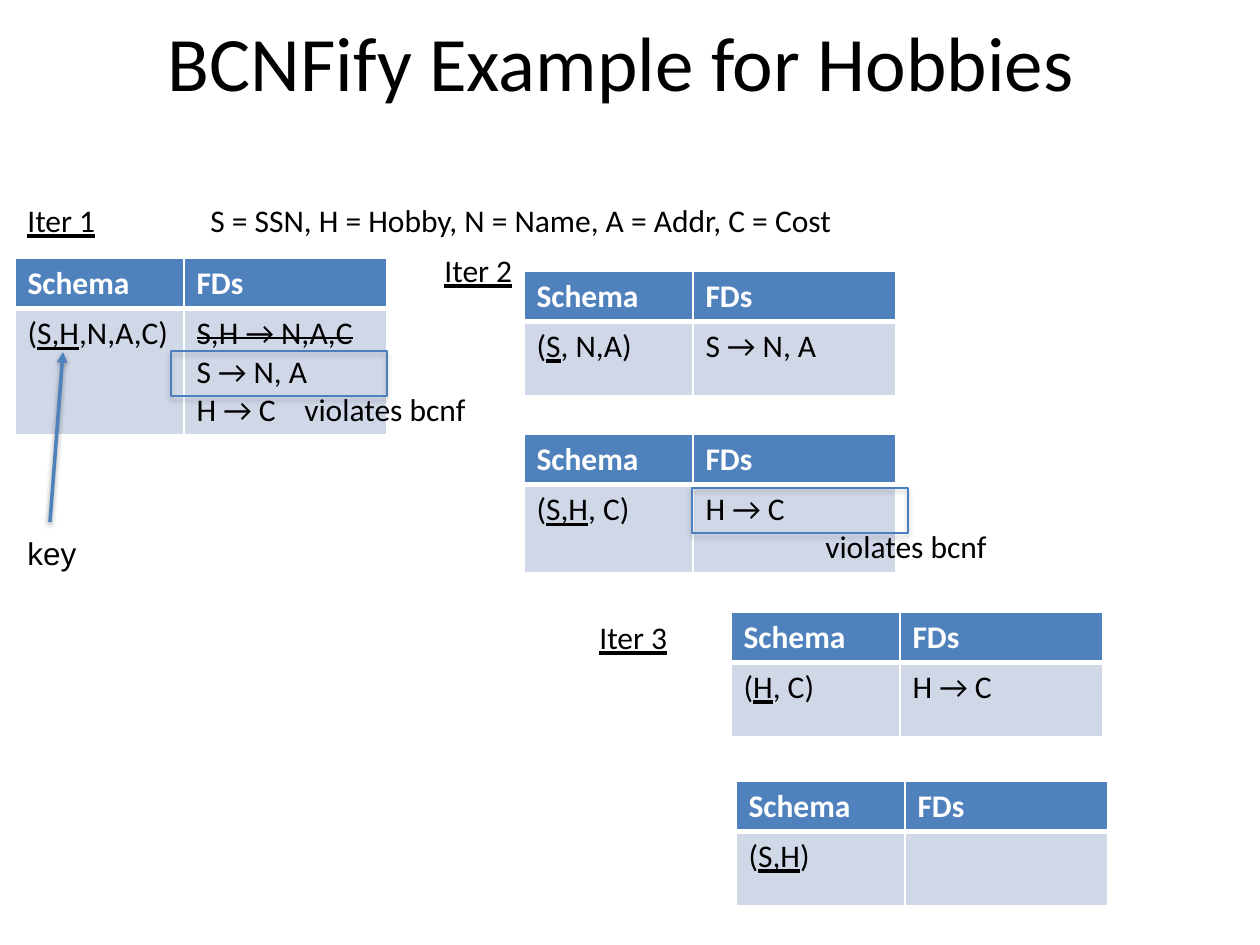
from lxml import etree
from pptx import Presentation
from pptx import util as u
from pptx.dml.color import RGBColor
from pptx.enum import shapes, text
from pptx.oxml import parse_xml
from pptx.oxml.ns import nsdecls, qn

EMU_PER_PX = 914400 / 126
BLACK, WHITE = "000000", "FFFFFF"
HEADER, BODY, OUTLINE = "4F81BD", "D0D8E8", "4B7EBC"
UNDER = {"underline": True}
STRIKE = "strike"


def px(n):
    return u.Emu(round(n * EMU_PER_PX))


def rgb(code):
    return RGBColor.from_string(code)


def key_schema(key, rest=""):
    """Schema text with its key underlined."""
    return [[("(", {}), (key, UNDER), (rest + ")", {})]]


def plain(*lines):
    return [[(line, {})] for line in lines]


class Board:
    """Holds the slide and its style."""

    columns = (169, 203)
    header_height = 50

    def __init__(self, slide):
        self.s = slide

    def fill_text(self, tf, paragraphs, size=18, color=BLACK, name="Calibri", bold=False):
        """Each paragraph is a list of (words, format) runs."""
        for i, runs in enumerate(paragraphs):
            p = tf.paragraphs[0] if i == 0 else tf.add_paragraph()
            for words, extra in runs:
                r = p.add_run()
                r.text = words
                style = {"name": name, "size": u.Pt(size), "bold": bold, **extra}
                struck = style.pop(STRIKE, False)
                for key, value in style.items():
                    setattr(r.font, key, value)
                r.font.color.rgb = rgb(color)
                if struck:
                    r._r.get_or_add_rPr().set("strike", "sngStrike")

    def text(self, x, y, w, h, words, wrap=True, extra=None, parent=None, **style):
        sp = (parent or self.s).shapes.add_textbox(px(x), px(y), px(w), px(h))
        tf = sp.text_frame
        tf.word_wrap = wrap
        self.fill_text(tf, [[(words, extra or {})]], **style)
        return tf

    def title(self, x, y, w, h, words):
        tf = self.text(x, y, w, h, words, size=44)
        tf.vertical_anchor = text.MSO_ANCHOR.MIDDLE
        tf.paragraphs[0].alignment = text.PP_ALIGN.CENTER

    def shadow(self, sp, alpha, distance):
        sp._element.spPr.append(parse_xml(
            f'<a:effectLst {nsdecls("a")}><a:outerShdw blurRad="{u.Pt(3.1)}" '
            f'dist="{u.Pt(distance)}" dir="5400000" rotWithShape="0">'
            f'<a:srgbClr val="{BLACK}"><a:alpha val="{alpha * 1000}"/></a:srgbClr>'
            '</a:outerShdw></a:effectLst>'))

    def violation(self, x, y):
        """Frame around a dependency, with its label at the lower right."""
        group = self.s.shapes.add_group_shape()
        sp = group.shapes.add_shape(shapes.MSO_SHAPE.RECTANGLE, px(x), px(y), px(216), px(45))
        sp.fill.background()
        sp.line.color.rgb = rgb(OUTLINE)
        sp.line.width = u.Pt(0.75)
        self.shadow(sp, 35, 1.8)
        self.text(x + 121, y + 33, 190, 50, "violates bcnf", wrap=False, parent=group)

    def arrow(self, x1, y1, x2, y2):
        line = self.s.shapes.add_connector(
            shapes.MSO_CONNECTOR.STRAIGHT, px(x1), px(y1), px(x2), px(y2))
        line.line.color.rgb = rgb(HEADER)
        line.line.width = u.Pt(2)
        etree.SubElement(line.line._get_or_add_ln(), qn("a:tailEnd"), type="triangle")
        self.shadow(line, 38, 1.6)

    def borders(self, cell, top, bottom):
        tc_pr = cell._tc.get_or_add_tcPr()
        for side, width in (("L", 1), ("R", 1), ("T", top), ("B", bottom)):
            tc_pr.append(parse_xml(
                f'<a:ln{side} {nsdecls("a")} w="{u.Pt(width)}"><a:solidFill>'
                f'<a:srgbClr val="{WHITE}"/></a:solidFill></a:ln{side}>'))

    def table(self, x, y, body_height, schema, fds):
        heights = (self.header_height, body_height)
        table = self.s.shapes.add_table(
            2, 2, px(x), px(y), px(sum(self.columns)), px(sum(heights))).table
        for column, width in zip(table.columns, self.columns):
            column.width = px(width)
        rows = (
            ((plain("Schema"), plain("FDs")), HEADER, WHITE, True, (1, 3)),
            ((schema, fds), BODY, BLACK, False, (3, 1)),
        )
        for row, height, (contents, fill, color, bold, edges) in zip(table.rows, heights, rows):
            row.height = px(height)
            for cell, content in zip(row.cells, contents):
                self.borders(cell, *edges)
                cell.fill.solid()
                cell.fill.fore_color.rgb = rgb(fill)
                self.fill_text(cell.text_frame, content, color=color, bold=bold)


def main():
    prs = Presentation()
    prs.slide_width, prs.slide_height = u.Inches(10), u.Inches(7.5)
    board = Board(prs.slides.add_slide(prs.slide_layouts[6]))

    board.title(63, -18, 1134, 158, "BCNFify Example for Hobbies ")
    board.table(15, 258, 126, key_schema("S,H", ",N,A,C"),
                [[("S,H → N,A,C", {STRIKE: True})]] + plain("S → N, A", "H → C"))
    board.text(198, 195, 653, 50,
               "S = SSN, H = Hobby, N = Name, A = Addr, C = Cost", wrap=False)
    board.violation(171, 351)
    board.table(524, 271, 74, key_schema("S", ", N,A"), plain("S → N, A"))
    board.table(524, 434, 88, key_schema("S,H", ", C"), plain("H → C"))
    board.violation(692, 488)
    board.table(731, 612, 74, key_schema("H", ", C"), plain("H → C"))
    board.table(736, 781, 74, key_schema("S,H"), [])

    for number, (x, y) in enumerate(((15, 195), (432, 245), (587, 612)), 1):
        board.text(x, y, 156, 50, f"Iter {number}", extra=UNDER)
    board.arrow(50, 522, 63, 352)
    board.text(15, 528, 113, 50, "key", name="Arial")

    prs.save("out.pptx")


if __name__ == "__main__":
    main()
